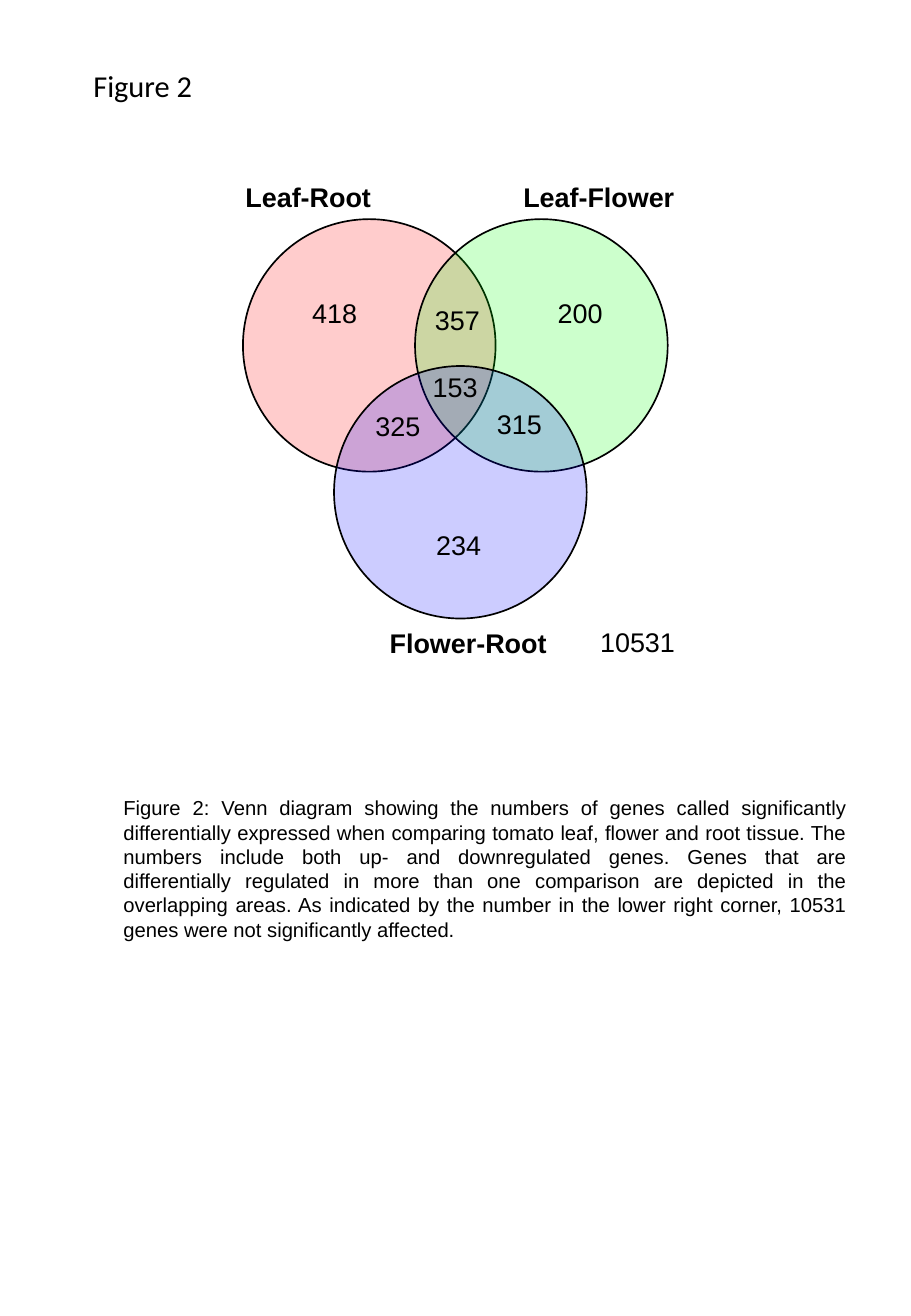
from collections import namedtuple

from lxml.etree import SubElement
from pptx import Presentation
from pptx.dml.color import RGBColor
from pptx.enum.shapes import MSO_SHAPE as Shape
from pptx.enum.text import MSO_AUTO_SIZE as AutoSize, PP_ALIGN as Align
from pptx.oxml.ns import qn
from pptx.util import Inches, Pt

Box = namedtuple("Box", "left top width height")

# The page is a grid of square cells; all lengths count cells.
CELL = Inches(0.1)
COLUMNS, ROWS = 75, 108.4
TITLE_BOX = Box(6.7, 5.05, 10.1, 4)
VENN_BOX = Box(19.22, 14.35, 37.5, 40.5)
CAPTION_BOX = Box(9.18, 65.04, 61.55, 15)

COLORS = {"ink": "000000", "leaf_root": "FF0000",
          "leaf_flower": "00FF00", "flower_root": "0000FF"}
OPACITY = 20
DIAMETER = 20.8
LABEL_HEIGHT = 3.7
COUNT_WIDTH = 5.8

# Left and top inside the diagram's box
CIRCLES = [("leaf_root", 0.78, 3.7), ("leaf_flower", 14.95, 3.7),
           ("flower_root", 8.28, 15.8)]
COUNTS = [("418", 5.5, 9.55), ("200", 25.7, 9.55), ("234", 15.7, 28.7),
          ("325", 10.7, 18.9), ("315", 20.7, 18.7), ("357", 15.6, 10.15),
          ("153", 15.42, 15.65)]
UNAFFECTED = ("10531", 29.2, 36.65, 8.3)
NAMES = [("Flower-Root", 11.88, 36.75, 15.1), ("Leaf-Root", 0, 0, 12.5),
         ("Leaf-Flower", 22.88, 0, 14.6)]

CAPTION = (
    "Figure 2: Venn diagram showing the numbers of genes called significantly "
    "differentially expressed when comparing tomato leaf, flower and root tissue. "
    "The numbers include both up- and downregulated genes. Genes that are "
    "differentially regulated in more than one comparison are depicted in the "
    "overlapping areas. As indicated by the number in the lower right corner, "
    "10531 genes were not significantly affected."
)


def cells(*counts):
    return [round(count * CELL) for count in counts]


def color(name):
    return RGBColor.from_string(COLORS[name])


def add_text(shapes, box, text, size, font="Arial", bold=False, wrap=False,
             align=Align.LEFT):
    frame = shapes.add_textbox(*cells(*box)).text_frame
    frame.word_wrap = wrap
    frame.auto_size = AutoSize.SHAPE_TO_FIT_TEXT
    para = frame.paragraphs[0]
    para.alignment = align
    span = para.add_run()
    span.text = text
    span.font.name = font
    span.font.size = Pt(size)
    span.font.bold = bold
    span.font.color.rgb = color("ink")


def add_circle(shapes, box, fill):
    circle = shapes.add_shape(Shape.FLOWCHART_CONNECTOR, *cells(*box))
    circle.shadow.inherit = False
    circle.fill.solid()
    circle.fill.fore_color.rgb = color(fill)
    tint = circle.fill._xPr.find(qn("a:solidFill"))[0]
    SubElement(tint, qn("a:alpha")).set("val", str(OPACITY * 1000))
    circle.line.color.rgb = color("ink")
    circle.line.width = Pt(1)


def add_venn(page, box):
    shapes = page.shapes.add_group_shape().shapes
    for fill, x, y in CIRCLES:
        add_circle(shapes, Box(box.left + x, box.top + y, DIAMETER, DIAMETER), fill)
    counts = [(*count, COUNT_WIDTH) for count in COUNTS] + [UNAFFECTED]
    for labels, bold in ((counts, False), (NAMES, True)):
        for text, x, y, width in labels:
            label_box = Box(box.left + x, box.top + y, width, LABEL_HEIGHT)
            add_text(shapes, label_box, text, 16, bold=bold)


def main():
    deck = Presentation()
    deck.slide_width, deck.slide_height = cells(COLUMNS, ROWS)
    page = deck.slides.add_slide(deck.slide_layouts[6])
    add_text(page.shapes, TITLE_BOX, "Figure 2", 18, font="Calibri")
    add_venn(page, VENN_BOX)
    add_text(page.shapes, CAPTION_BOX, CAPTION, 12, wrap=True, align=Align.JUSTIFY)
    deck.save("out.pptx")


if __name__ == "__main__":
    main()
